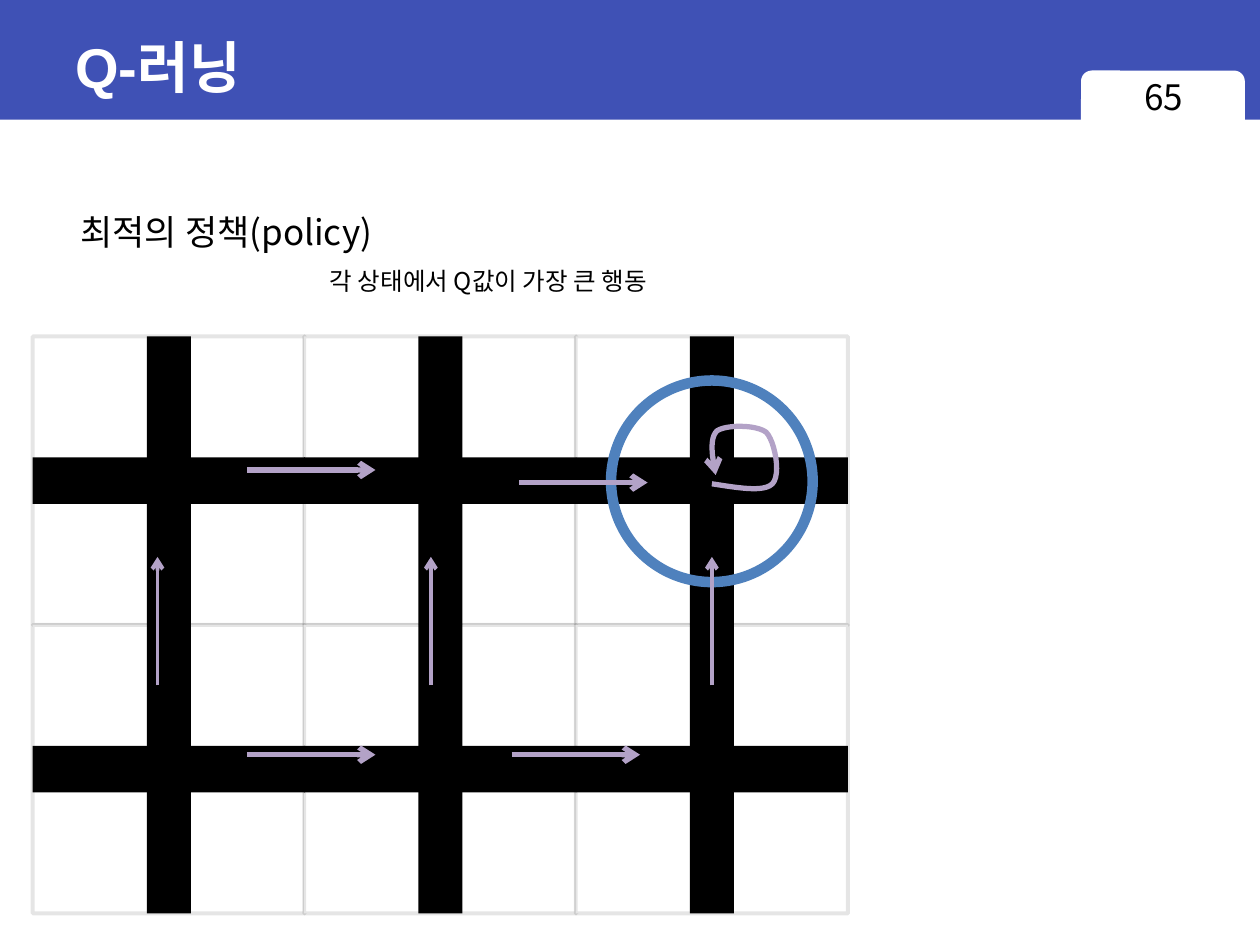
from lxml import etree
from pptx import Presentation
from pptx.dml.color import RGBColor
from pptx.enum.shapes import MSO_CONNECTOR, MSO_SHAPE
from pptx.enum.text import MSO_ANCHOR, PP_ALIGN
from pptx.oxml.ns import qn
from pptx.util import Inches, Pt

RECT, ROUNDED, OVAL = MSO_SHAPE.RECTANGLE, MSO_SHAPE.ROUNDED_RECTANGLE, MSO_SHAPE.OVAL
STRAIGHT = MSO_CONNECTOR.STRAIGHT
TOP, MIDDLE = MSO_ANCHOR.TOP, MSO_ANCHOR.MIDDLE
LEFT, CENTER = PP_ALIGN.LEFT, PP_ALIGN.CENTER

COLORS = {"header": "3F51B5", "white": "FFFFFF", "black": "000000",
          "goal": "4F81BD", "arrow": "B3A2C7"}
KOREAN, LATIN = "Noto Sans CJK KR", "Arial"


class SlideBuilder:
    """Holds the style and the page being drawn."""

    def __init__(self, page):
        self.page = page

    def color(self, name):
        return RGBColor.from_string(COLORS[name])

    def outline(self, line, color, width, alpha=None):
        line.color.rgb = self.color(color)
        line.width = Pt(width)
        if alpha is not None:
            hue = line.fill._xPr.find(".//" + qn("a:srgbClr"))
            etree.SubElement(hue, qn("a:alpha"), val=str(alpha * 1000))

    def arrowhead(self, line):
        etree.SubElement(line._get_or_add_ln(), qn("a:tailEnd"), type="arrow")

    def shape(self, kind, left, top, width, height, fill=None, line=None):
        shape = self.page.shapes.add_shape(
            kind, Inches(left), Inches(top), Inches(width), Inches(height))
        shape.shadow.inherit = False
        if fill:
            shape.fill.solid()
            shape.fill.fore_color.rgb = self.color(fill)
        else:
            shape.fill.background()
        if line:
            self.outline(shape.line, *line)
        else:
            shape.line.fill.background()
        return shape

    def text(self, words, left, top, width, height, size, color="black",
             font=KOREAN, bold=False, align=LEFT, anchor=TOP, wrap=False):
        box = self.page.shapes.add_textbox(
            Inches(left), Inches(top), Inches(width), Inches(height))
        frame = box.text_frame
        frame.word_wrap = wrap
        frame.vertical_anchor = anchor
        para = frame.paragraphs[0]
        para.alignment = align
        span = para.add_run()
        span.text = words
        span.font.size = Pt(size)
        span.font.bold = bold
        span.font.name = font
        span.font.color.rgb = self.color(color)
        etree.SubElement(span.font._element, qn("a:ea"), typeface=KOREAN)

    def arrow(self, x1, y1, x2, y2, width):
        link = self.page.shapes.add_connector(
            STRAIGHT, Inches(x1), Inches(y1), Inches(x2), Inches(y2))
        self.outline(link.line, "arrow", width)
        self.arrowhead(link.line)
        etree.SubElement(link._element.spPr, qn("a:effectLst"))

    def curved_arrow(self, start, curves, width, steps=12):
        """Trace cubic curves, each given as two control points and an end."""
        points, origin = [], start
        for first, second, end in curves:
            for step in range(1, steps + 1):
                t = step / steps
                weights = ((1 - t) ** 3, 3 * t * (1 - t) ** 2,
                           3 * t ** 2 * (1 - t), t ** 3)
                anchors = (origin, first, second, end)
                points.append(tuple(
                    Inches(sum(w * p[axis] for w, p in zip(weights, anchors)))
                    for axis in (0, 1)))
            origin = end
        builder = self.page.shapes.build_freeform(Inches(start[0]), Inches(start[1]))
        builder.add_line_segments(points, close=False)
        curve = builder.convert_to_shape()
        curve.shadow.inherit = False
        curve.fill.background()
        self.outline(curve.line, "arrow", width)
        self.arrowhead(curve.line)


def main():
    deck = Presentation()
    deck.slide_width, deck.slide_height = Inches(10), Inches(7.5)
    page = deck.slides.add_slide(deck.slide_layouts[6])
    draw = SlideBuilder(page)

    # Header with page number tab
    draw.shape(RECT, 0, 0, 10, 0.95, "header")
    draw.shape(ROUNDED, 8.58, 0.56, 1.3, 0.51, "white")
    draw.text("Q-러닝", 0.5, 0.11, 9, 0.83, 32, "white", LATIN, True,
              anchor=MIDDLE, wrap=True)
    draw.text("65", 8.58, 0.55, 1.31, 0.52, 20, align=CENTER, wrap=True)

    # Grid of states, each with two crossing roads
    cell_width, cell_height = 2.16, 2.29
    road_width, road_height = 0.35, 0.37
    cells = [(0.26 + column * 2.155, 2.67 + row * cell_height)
             for row in range(2) for column in range(3)]
    for left, top in cells:
        draw.shape(RECT, left, top, cell_width, cell_height, "white",
                   ("black", 2.25, 10))
    for left, top in cells:
        draw.shape(RECT, left + (cell_width - road_width) / 2, top,
                   road_width, cell_height, "black")
        draw.shape(RECT, left, top + (cell_height - road_height) / 2,
                   cell_width, road_height, "black")

    # Goal state
    draw.shape(OVAL, 4.85, 3.02, 1.6, 1.6, line=("goal", 6))

    # Best action in each state
    arrow_length = 1.02
    for x, y in ((1.96, 5.99), (4.06, 5.99), (1.96, 3.73), (4.12, 3.83)):
        draw.arrow(x, y, x + arrow_length, y, 3)
    for x in (1.25, 3.42, 5.65):
        draw.arrow(x, 4.42 + arrow_length, x, 4.42, 2.25)
    draw.curved_arrow((5.65, 3.84), [
        ((5.85, 3.87), (6.06, 3.91), (6.13, 3.84)),
        ((6.2, 3.77), (6.15, 3.5), (6.08, 3.43)),
        ((6, 3.37), (5.76, 3.37), (5.69, 3.42)),
        ((5.63, 3.48), (5.65, 3.62), (5.68, 3.77))], 3)

    # Captions
    draw.text("최적의 정책(policy)", 0.54, 1.62, 2.62, 0.44, 20)
    draw.text("각 상태에서 Q값이 가장 큰 행동", 2.52, 2.06, 3.05, 0.34, 14)

    deck.save("out.pptx")


if __name__ == "__main__":
    main()
